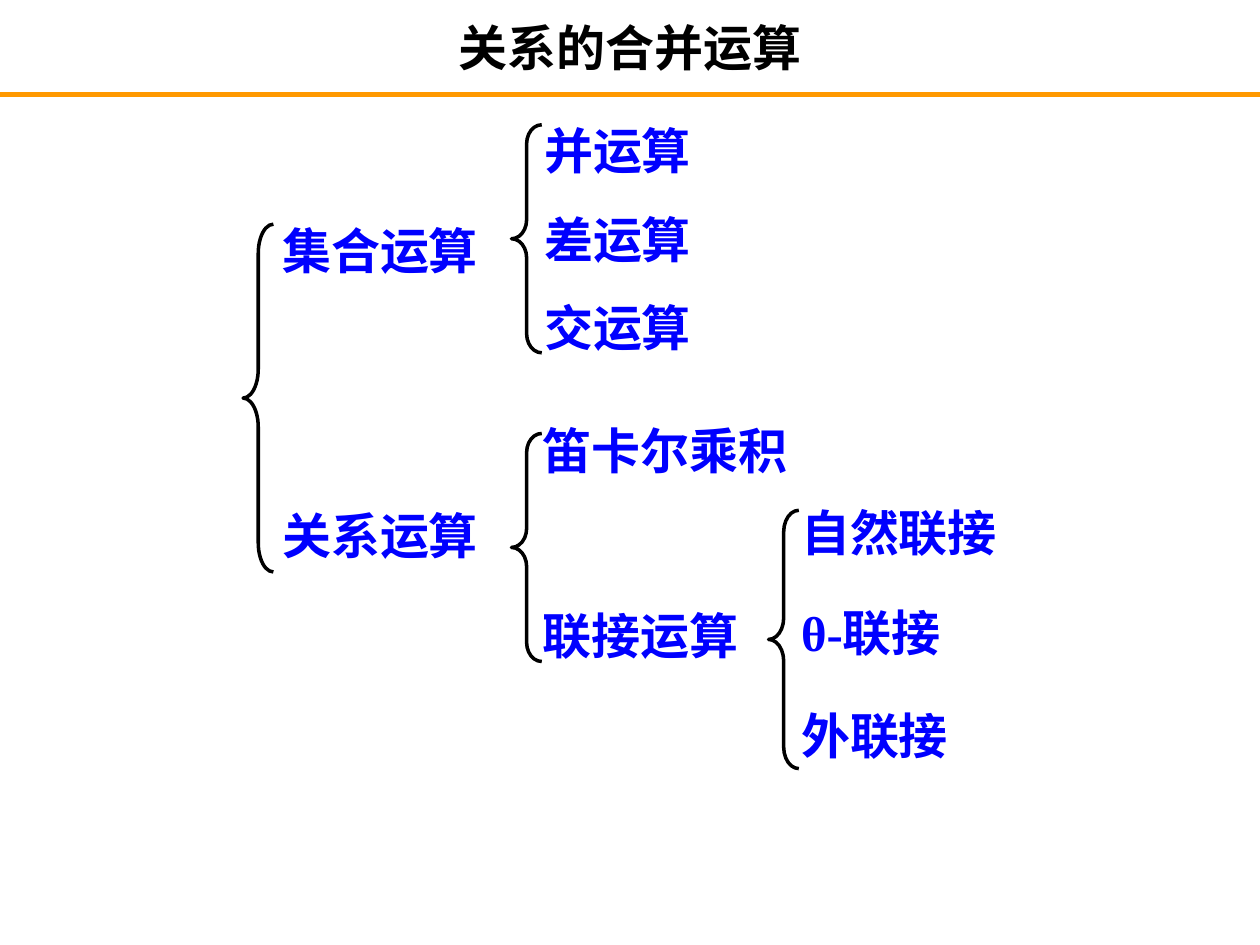
from dataclasses import dataclass

from lxml import etree
from pptx import Presentation
from pptx.dml.color import RGBColor
from pptx.enum.shapes import MSO_CONNECTOR, MSO_SHAPE
from pptx.enum.text import MSO_ANCHOR, MSO_AUTO_SIZE, PP_ALIGN
from pptx.oxml.ns import qn
from pptx.util import Inches, Pt

STRAIGHT = MSO_CONNECTOR.STRAIGHT
LEFT_BRACE = MSO_SHAPE.LEFT_BRACE
MIDDLE, TOP = MSO_ANCHOR.MIDDLE, MSO_ANCHOR.TOP
NO_FIT = MSO_AUTO_SIZE.NONE
CENTER, LEFT = PP_ALIGN.CENTER, PP_ALIGN.LEFT
TITLE_ONLY = 5

WIDTH, HEIGHT = 10, 7.5
COLUMNS, ROWS = 100, 75  # page grid
BRACE_WIDTH = 2.4  # columns
LABEL_HEIGHT = 5.7  # rows


@dataclass(frozen=True)
class Theme:
    font: str = "Times New Roman"
    size: int = 28
    title: str = "000000"
    label: str = "0000FF"
    brace: str = "000000"
    rule: str = "FF9900"
    brace_line: int = 2
    rule_line: int = 3


THEME = Theme()


def across(columns):
    return Inches(columns * WIDTH / COLUMNS)


def down(rows):
    return Inches(rows * HEIGHT / ROWS)


def place(box):
    left, top, width, height = box
    return across(left), down(top), across(width), down(height)


def set_all(target, values):
    for name, value in values.items():
        setattr(target, name, value)


def write(shape, text, color, anchor=TOP, align=LEFT, side=0.1):
    frame = shape.text_frame
    set_all(frame, {
        "text": text, "word_wrap": True, "auto_size": NO_FIT,
        "vertical_anchor": anchor,
        "margin_left": Inches(side), "margin_right": Inches(side),
        "margin_top": Inches(0.05), "margin_bottom": Inches(0.05),
    })
    para = frame.paragraphs[0]
    para.alignment = align
    set_all(para.font, {"name": THEME.font, "size": Pt(THEME.size), "bold": True})
    para.font.color.rgb = RGBColor.from_string(color)


def draw_line(shape, color, width):
    shape.line.color.rgb = RGBColor.from_string(color)
    shape.line.width = Pt(width)


def add_header(page, box, text):
    """Title with a full-width rule below it."""
    rule_top = down(7.5)
    rule = page.shapes.add_connector(STRAIGHT, 0, rule_top, across(COLUMNS), rule_top)
    draw_line(rule, THEME.rule, THEME.rule_line)
    etree.SubElement(rule.element.spPr, qn("a:effectLst"))

    title = page.shapes.title
    set_all(title, dict(zip(("left", "top", "width", "height"), place(box))))
    write(title, text, THEME.title, MIDDLE, CENTER)


def add_branch(page, box, labels, indent, side=0.1):
    """Brace at the left edge of the box, with labels beside it.

    Each label is (text, top offset in rows, width in columns).
    """
    left, top, height = box
    group = page.shapes.add_group_shape()

    # Brace: each curve is a twelfth of the height
    brace = group.shapes.add_shape(LEFT_BRACE, *place((left, top, BRACE_WIDTH, height)))
    brace.adjustments[0] = height / 12 / BRACE_WIDTH
    brace.shadow.inherit = False
    brace.fill.background()
    draw_line(brace, THEME.brace, THEME.brace_line)

    # Labels
    for text, offset, width in labels:
        label = group.shapes.add_textbox(
            *place((left + indent, top + offset, width, LABEL_HEIGHT)))
        write(label, text, THEME.label, side=side)


def main():
    deck = Presentation()
    deck.slide_width, deck.slide_height = Inches(WIDTH), Inches(HEIGHT)
    page = deck.slides.add_slide(deck.slide_layouts[TITLE_ONLY])

    add_header(page, (7.5, 0.8, 85, 5.8), "关系的合并运算")

    # Join operations
    add_branch(page, (61, 40.5, 20.5), [
        ("自然联接", -1.1, 18.9),
        ("θ-联接", 6.8, 18.9),
        ("外联接", 15, 18.9),
    ], indent=1.6)

    # Set operations
    add_branch(page, (40.6, 9.9, 18.1), [
        (text, -0.8 + 7 * row, 14.1)
        for row, text in enumerate(("并运算", "差运算", "交运算"))
    ], indent=1.6)

    # Relational operations
    add_branch(page, (40.6, 34.4, 18.1), [
        ("笛卡尔乘积", -1.5, 22),
        ("联接运算", 13.2, 21.2),
    ], indent=1.5)

    # Two main kinds
    add_branch(page, (19.3, 17.8, 27.6), [
        ("集合运算", -0.8, 17.3),
        ("关系运算", 21.8, 17.3),
    ], indent=3.1, side=0)

    deck.save("out.pptx")


if __name__ == "__main__":
    main()
